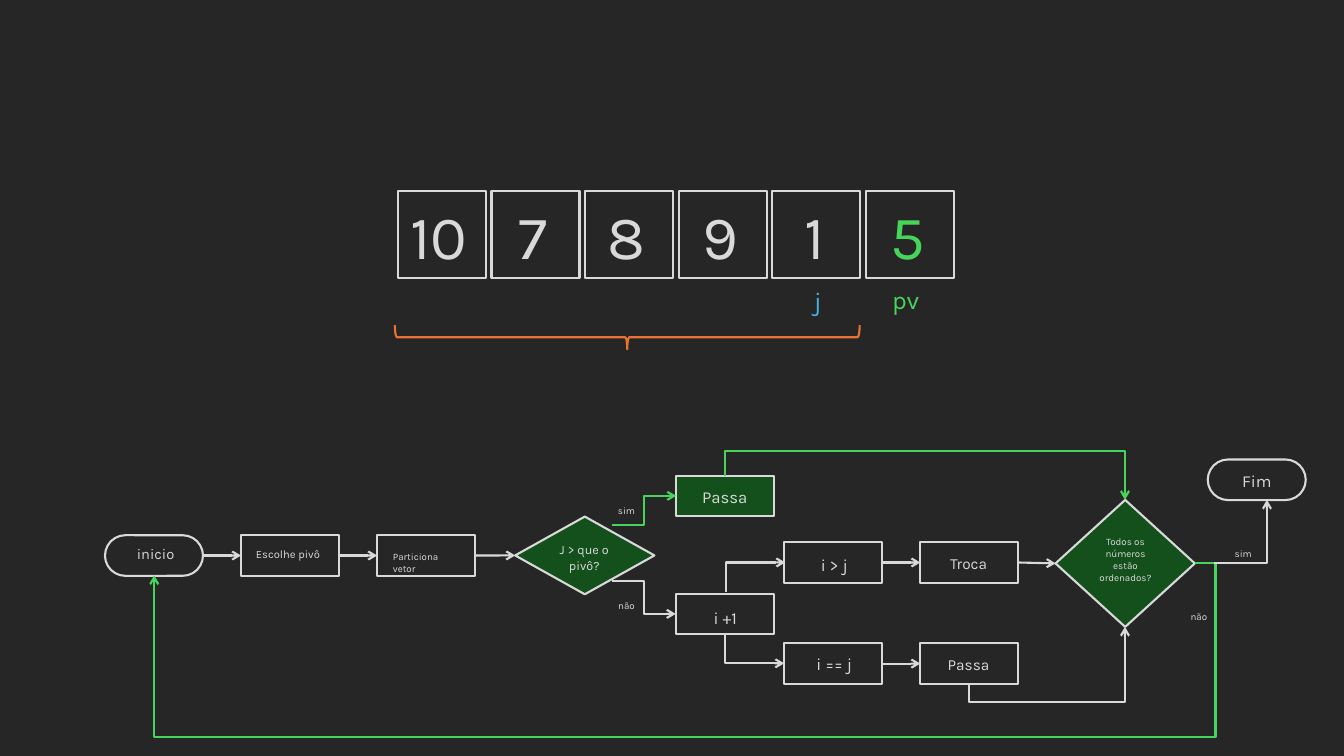
from dataclasses import dataclass
from typing import NamedTuple, Optional

from lxml import etree
from pptx import Presentation
from pptx import util as u
from pptx.dml.color import RGBColor
from pptx.enum import shapes, text
from pptx.oxml import ns


@dataclass(frozen=True)
class Theme:
    back: str = "262626"
    light: str = "D9D9D9"
    green: str = "47D45A"
    dark_green: str = "13501B"
    blue: str = "46B1E1"
    orange: str = "E97132"
    font: str = "Karla"
    line: float = 1.5
    digit: float = 44
    pointer: float = 18
    step: float = 12
    medium: float = 11
    start: float = 10.5
    question: float = 9
    small: float = 8
    tiny: float = 7


T = Theme()
RECT = shapes.MSO_SHAPE.RECTANGLE
PILL = shapes.MSO_SHAPE.ROUNDED_RECTANGLE
DIAMOND = shapes.MSO_SHAPE.DIAMOND
TOP, LEFT, BOTTOM, RIGHT = range(4)
STEP_W, STEP_H = 70, 29


class Node(NamedTuple):
    name: str
    x: float
    y: float
    kind: int = RECT
    fill: Optional[str] = None
    w: float = STEP_W
    h: float = STEP_H


class Label(NamedTuple):
    words: str
    x: float
    y: float
    w: float
    h: float
    size: float
    color: str = T.light
    centered: bool = True


class Elbow(NamedTuple):
    start: tuple[float, float]
    end: tuple[float, float]
    turn: int = 0  # quarter turns, clockwise
    preset: str = "bentConnector3"
    adjust: tuple[float, ...] = ()
    color: str = T.light


def add_box(parent, kind: int, x: float, y: float, w: float, h: float,
            line: str = T.light, fill: Optional[str] = None):
    sp = parent.add_shape(kind, u.Pt(x), u.Pt(y), u.Pt(w), u.Pt(h))
    sp.shadow.inherit = False
    if fill:
        sp.fill.solid()
        sp.fill.fore_color.rgb = RGBColor.from_string(fill)
    else:
        sp.fill.background()
    sp.line.color.rgb = RGBColor.from_string(line)
    sp.line.width = u.Pt(T.line)
    if kind == PILL:
        sp.adjustments[0] = 0.5
    return sp


def add_label(s, label: Label) -> None:
    sp = s.shapes.add_textbox(u.Pt(label.x), u.Pt(label.y), u.Pt(label.w), u.Pt(label.h))
    tf = sp.text_frame
    tf.word_wrap = True
    tf.auto_size = text.MSO_AUTO_SIZE.SHAPE_TO_FIT_TEXT
    p = tf.paragraphs[0]
    p.alignment = text.PP_ALIGN.CENTER if label.centered else text.PP_ALIGN.LEFT
    r = p.add_run()
    r.text = label.words
    r.font.name = T.font
    r.font.size = u.Pt(label.size)
    r.font.color.rgb = RGBColor.from_string(label.color)


def add_arrow(s, kind: int, x1: float, y1: float, x2: float, y2: float, color: str = T.light):
    c = s.shapes.add_connector(kind, u.Pt(x1), u.Pt(y1), u.Pt(x2), u.Pt(y2))
    c.line.color.rgb = RGBColor.from_string(color)
    c.line.width = u.Pt(T.line)
    sp_pr = c._element.spPr
    etree.SubElement(sp_pr.find(ns.qn("a:ln")), ns.qn("a:tailEnd"), type="arrow")
    etree.SubElement(sp_pr, ns.qn("a:effectLst"))
    return c


def add_elbow(s, elbow: Elbow) -> None:
    (x1, y1), (x2, y2) = elbow.start, elbow.end
    dx, dy = x2 - x1, y2 - y1
    if elbow.turn:  # size before the connector is turned
        dx, dy = elbow.turn * dy, -elbow.turn * dx
    cx, cy = (x1 + x2) / 2, (y1 + y2) / 2
    c = add_arrow(s, shapes.MSO_CONNECTOR.ELBOW, cx - dx / 2, cy - dy / 2,
                  cx + dx / 2, cy + dy / 2, elbow.color)
    sp_pr = c._element.spPr
    if elbow.turn:
        sp_pr.find(ns.qn("a:xfrm")).set("rot", str(elbow.turn % 4 * 5400000))
    geom = sp_pr.find(ns.qn("a:prstGeom"))
    geom.set("prst", elbow.preset)
    guides = geom.find(ns.qn("a:avLst"))
    for i, value in enumerate(elbow.adjust, 1):
        etree.SubElement(guides, ns.qn("a:gd"), name=f"adj{i}",
                         fmla=f"val {round(value * 100000)}")


DIGITS = ["10", "7", "8", "9", "1", "5"]

NODES = [
    Node("start", 75, 382.3, PILL),
    Node("choose", 172.2, 382.3),
    Node("partition", 269.4, 382.3),
    Node("compare", 368, 369, DIAMOND, T.dark_green, 99.5, 55.5),
    Node("skip", 483, 339.8, fill=T.dark_green),
    Node("increment", 483, 424),
    Node("end", 862.7, 328.2, PILL),
    Node("greater", 560.2, 387.3),
    Node("equal", 560.2, 459.5),
    Node("pass", 657.4, 459.5),
    Node("swap", 657.4, 387.3),
    Node("sorted", 754, 357.1, DIAMOND, T.dark_green, 99.5, 90.7),
]

LINKS = [("start", "choose"), ("choose", "partition"), ("partition", "compare"),
         ("greater", "swap"), ("swap", "sorted"), ("equal", "pass")]

ELBOWS = [
    Elbow((437, 414.7), (482.7, 438.5)),
    Elbow((517.9, 452.9), (560.2, 473.8), -1, "bentConnector2"),
    Elbow((517.9, 339.8), (803.5, 357.1), -1, adjust=(-1.03,), color=T.green),
    Elbow((853.4, 402.5), (110.2, 411), 0, "bentConnector4", (-0.02, 14.54), T.green),
    Elbow((437, 375.1), (483, 354.2), color=T.green),
    Elbow((518.4, 422.6), (560.9, 401.8), 1, "bentConnector2"),
    Elbow((691.9, 488.2), (803.5, 447.8), 1, adjust=(-0.33,)),
    Elbow((866.9, 402.5), (905, 357.1), 1, adjust=(0,)),
]

LABELS = [
    Label("pv", 625.7, 199.4, 42.5, 29, T.pointer, T.green),
    Label("j", 563, 200.2, 42.5, 29, T.pointer, T.blue),
    Label("inicio", 90.7, 385.9, 41.8, 21, T.start, centered=False),
    Label("Escolhe pivô", 175.7, 387.4, 63.4, 17, T.small, centered=False),
    Label("Particiona vetor", 273.6, 390.2, 63.4, 16, T.tiny, centered=False),
    Label("J > que o pivô?", 388.8, 383.8, 57, 29, T.question),
    Label("Passa", 492.5, 344.2, 50.4, 21.8, T.step),
    Label("i +1", 489.6, 430.6, 57, 21.8, T.step),
    Label("i > j", 567.4, 392.4, 57, 21.8, T.step),
    Label("i == j", 567.4, 463.7, 57, 21.8, T.step),
    Label("Troca", 666.7, 392.4, 50.4, 21, T.medium),
    Label("Passa", 666.7, 464.4, 50.4, 21, T.medium),
    Label("Todos os números estão ordenados?", 775.4, 379.4, 57, 41, T.tiny),
    Label("Fim", 872.6, 332.6, 50.4, 21.8, T.step),
    Label("sim", 430.6, 357.1, 33.8, 16, T.tiny),
    Label("sim", 871.2, 387.4, 33.8, 16, T.tiny),
    Label("não", 430.6, 424.8, 33.8, 16, T.tiny),
    Label("não", 839.5, 432.7, 33.8, 16, T.tiny),
]


def main() -> None:
    prs = Presentation()
    prs.slide_width, prs.slide_height = u.Pt(960), u.Pt(540)
    s = prs.slides.add_slide(prs.slide_layouts[6])
    add_box(s.shapes, RECT, 0, 0, 960, 540, T.back, T.back)

    # Array cells, their digits and the brace below
    cells = s.shapes.add_group_shape().shapes
    for i, digit in enumerate(DIGITS):
        add_box(cells, RECT, 284.2 + 66.85 * i, 136.2, 62.9, 62.4)
        color = T.green if i == len(DIGITS) - 1 else T.light
        add_label(s, Label(digit, 282.2 + 67 * i, 137.5, 62.9, 60.5, T.digit, color))
    brace = add_box(s.shapes, shapes.MSO_SHAPE.RIGHT_BRACE, 439.4, 74.9, 17.3, 332, T.orange)
    brace.rotation = 90

    # Flowchart nodes
    boxes = {n.name: add_box(s.shapes, n.kind, n.x, n.y, n.w, n.h, fill=n.fill) for n in NODES}

    # Arrows between neighbours, then bent arrows
    for source, target in LINKS:
        c = add_arrow(s, shapes.MSO_CONNECTOR.STRAIGHT, 0, 0, 0, 0)
        c.begin_connect(boxes[source], RIGHT)
        c.end_connect(boxes[target], LEFT)
    for elbow in ELBOWS:
        add_elbow(s, elbow)

    # Words
    for label in LABELS:
        add_label(s, label)
    prs.save("out.pptx")


if __name__ == "__main__":
    main()
